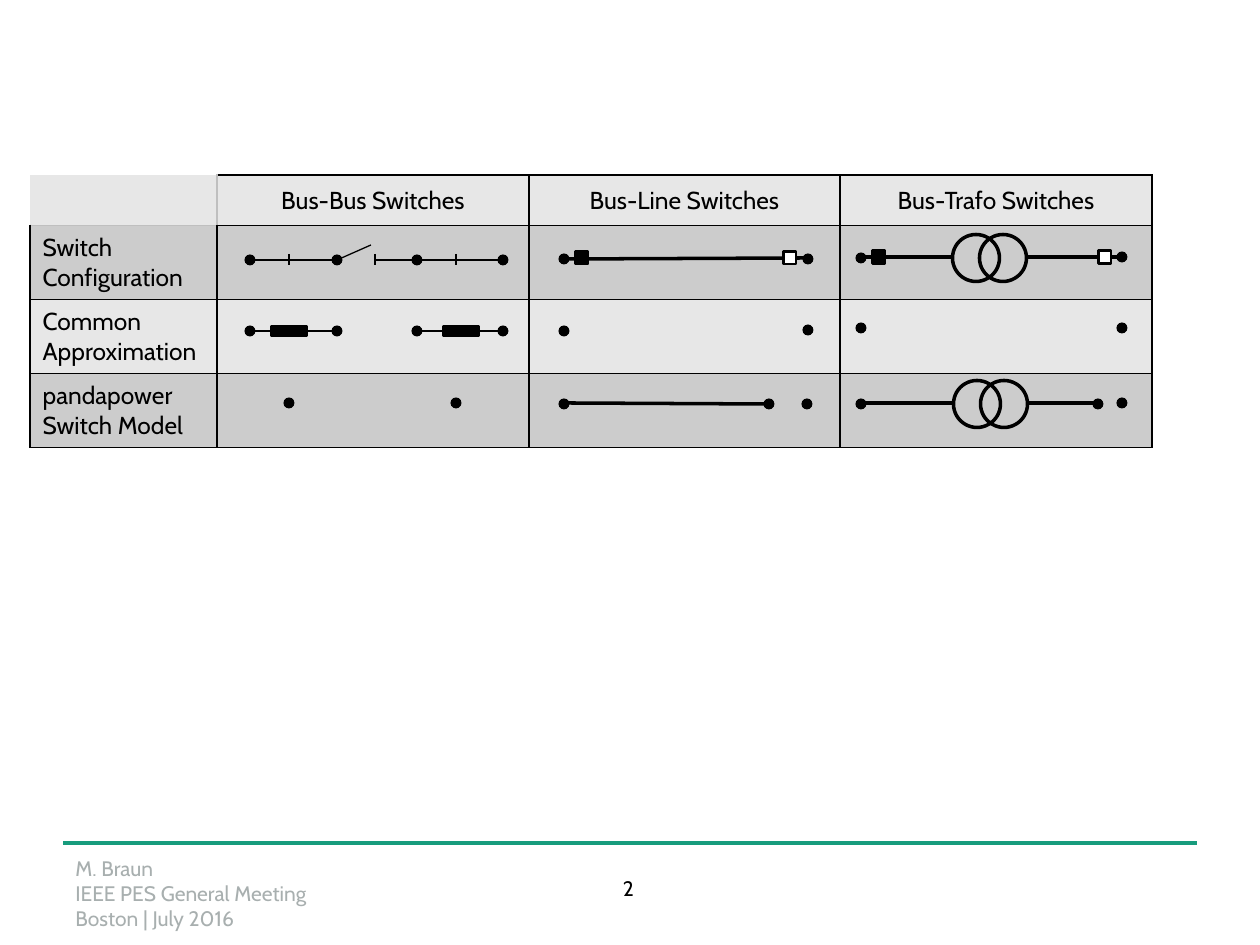
"""Build the slide comparing switch models for bus, line and trafo switches."""
from typing import NamedTuple, Optional

from lxml import etree
from pptx import Presentation
from pptx.dml.color import RGBColor
from pptx.enum.shapes import MSO_CONNECTOR, MSO_SHAPE
from pptx.enum.text import MSO_ANCHOR, MSO_AUTO_SIZE, PP_ALIGN
from pptx.oxml.ns import qn
from pptx.util import Emu, Pt

STRAIGHT = MSO_CONNECTOR.STRAIGHT
OVAL, RECTANGLE = MSO_SHAPE.OVAL, MSO_SHAPE.RECTANGLE
LEFT, CENTER = PP_ALIGN.LEFT, PP_ALIGN.CENTER
MIDDLE = MSO_ANCHOR.MIDDLE
FIT_SHAPE = MSO_AUTO_SIZE.SHAPE_TO_FIT_TEXT

BLACK = RGBColor(0x00, 0x00, 0x00)
WHITE = RGBColor(0xFF, 0xFF, 0xFF)
GREEN = RGBColor(0x17, 0x9C, 0x7D)
FOOTER_GRAY = RGBColor(0xA8, 0xAF, 0xAF)
BORDER_GRAY = RGBColor(0xBF, 0xBF, 0xBF)
LIGHT_BAND = RGBColor(0xE7, 0xE7, 0xE7)
DARK_BAND = RGBColor(0xCC, 0xCC, 0xCC)
FONT = "Cabin"
EMU_PER_PIXEL = 914400 / 126
THIN, THICK = 0.75, 2


class Wire(NamedTuple):
    x1: int
    y1: int
    x2: int
    y2: int
    weight: float = THICK
    color: RGBColor = BLACK


class SymbolStyle(NamedTuple):
    geometry: MSO_SHAPE
    width: int
    height: int
    fill: Optional[RGBColor]
    outline: float


class Symbol(NamedTuple):
    style: SymbolStyle
    x: int
    y: int


BUS = SymbolStyle(OVAL, 11, 11, BLACK, 0)
WINDING = SymbolStyle(OVAL, 47, 47, None, 2)
CLOSED = SymbolStyle(RECTANGLE, 13, 13, BLACK, 1.25)
OPEN = SymbolStyle(RECTANGLE, 13, 13, WHITE, 1.25)
IMPEDANCE = SymbolStyle(RECTANGLE, 34, 9, BLACK, 2)

TABLE_TEXT = [
    ["", "Bus-Bus Switches", "Bus-Line Switches", "Bus-Trafo Switches"],
    ["Switch Configuration", "", "", ""],
    ["Common Approximation", "", "", ""],
    ["pandapower Switch Model", "", "", ""],
]
COLUMN_WIDTHS = [187, 312, 311, 312]
ROW_HEIGHTS = [46, 74, 74, 74]

WIRES = [
    Wire(63, 843, 1197, 843, 2.5, GREEN),
    *(Wire(left, y, right, y, THIN)
      for y in (260, 331) for left, right in ((250, 337), (417, 503))),
    *(Wire(x, 254, x, 265, THIN) for x in (289, 375, 456)),
    Wire(375, 260, 417, 260, THIN),
    Wire(337, 260, 371, 245, THIN),
    Wire(564, 259, 808, 258),
    Wire(564, 403, 769, 404),
    Wire(861, 257, 954, 257),
    Wire(1027, 257, 1122, 257),
    Wire(861, 403, 954, 403),
    Wire(1027, 403, 1098, 403),
]
BUS_CENTERS = [
    *((x, y) for y in (260, 331) for x in (250, 337, 417, 503)),
    (289, 403), (456, 403),
    (564, 259), (808, 259), (564, 331), (808, 330),
    (564, 404), (769, 404), (807, 404),
    (861, 258), (1122, 257), (861, 328), (1122, 328),
    (861, 404), (1098, 404), (1122, 403),
]
SYMBOLS = [
    *(Symbol(BUS, x, y) for x, y in BUS_CENTERS),
    *(Symbol(WINDING, x, y) for x, y in ((976, 258), (1003, 258), (977, 404), (1004, 404))),
    Symbol(CLOSED, 582, 258), Symbol(OPEN, 790, 258),
    Symbol(CLOSED, 879, 257), Symbol(OPEN, 1105, 257),
    Symbol(IMPEDANCE, 289, 331), Symbol(IMPEDANCE, 461, 331),
]


def px(pixels: float) -> Emu:
    """Turn pixels into EMU."""
    return Emu(round(pixels * EMU_PER_PIXEL))


def add_text(paragraph, text: str, size: int, color: RGBColor, align) -> None:
    """Add one styled run to a paragraph."""
    paragraph.alignment = align
    run = paragraph.add_run()
    run.text = text
    run.font.name, run.font.size, run.font.bold = FONT, Pt(size), False
    run.font.color.rgb = color


def add_text_box(slide, box: tuple, lines: list, color: RGBColor, align):
    """Add a text box with one paragraph per line and return its frame."""
    frame = slide.shapes.add_textbox(*map(px, box)).text_frame
    for index, line in enumerate(lines):
        paragraph = frame.add_paragraph() if index else frame.paragraphs[0]
        add_text(paragraph, line, 12, color, align)
    return frame


def add_border(cell, side: str, color: Optional[RGBColor]) -> None:
    """Give one side of a cell a border, or none."""
    border = etree.SubElement(cell._tc.get_or_add_tcPr(), qn(f"a:ln{side}"), w=str(Pt(1)))
    if color is None:
        etree.SubElement(border, qn("a:noFill"))
    else:
        fill = etree.SubElement(border, qn("a:solidFill"))
        etree.SubElement(fill, qn("a:srgbClr"), val=str(color))


def border_color(row: int, column: int, side: str) -> Optional[RGBColor]:
    """Return the border colour, which fades around the empty corner cell."""
    if (row, column) == (0, 0):
        return BORDER_GRAY if side in "RB" else None
    if (row, column, side) in ((0, 1, "L"), (1, 0, "T")):
        return BORDER_GRAY
    return BLACK


def add_switch_table(slide) -> None:
    """Add the table of switch types and models."""
    table = slide.shapes.add_table(
        len(ROW_HEIGHTS), len(COLUMN_WIDTHS), px(30), px(175),
        px(sum(COLUMN_WIDTHS)), px(sum(ROW_HEIGHTS))).table
    table.first_row = table.horz_banding = False
    for column, width in zip(table.columns, COLUMN_WIDTHS):
        column.width = px(width)
    for row, height in zip(table.rows, ROW_HEIGHTS):
        row.height = px(height)
    for r, texts in enumerate(TABLE_TEXT):
        for c, text in enumerate(texts):
            cell = table.cell(r, c)
            for side in "LRTB":
                add_border(cell, side, border_color(r, c, side))
            cell.fill.solid()
            cell.fill.fore_color.rgb = DARK_BAND if r % 2 else LIGHT_BAND
            cell.vertical_anchor = MIDDLE
            if text:
                add_text(cell.text_frame.paragraphs[0], text, 14, BLACK, LEFT if r else CENTER)


def add_wire(slide, wire: Wire) -> None:
    """Add a straight line without shadow."""
    line = slide.shapes.add_connector(STRAIGHT, *map(px, wire[:4]))
    line.line.width = Pt(wire.weight)
    line.line.color.rgb = wire.color
    etree.SubElement(line._element.spPr, qn("a:effectLst"))


def add_symbol(slide, symbol: Symbol) -> None:
    """Add a circuit symbol around its centre."""
    style = symbol.style
    shape = slide.shapes.add_shape(
        style.geometry, px(symbol.x - style.width / 2), px(symbol.y - style.height / 2),
        px(style.width), px(style.height))
    shape.shadow.inherit = False
    if style.fill is None:
        shape.fill.background()
    else:
        shape.fill.solid()
        shape.fill.fore_color.rgb = style.fill
    if style.outline:
        shape.line.width = Pt(style.outline)
        shape.line.color.rgb = BLACK
    else:
        shape.line.fill.background()


def main() -> None:
    """Build and save the slide."""
    deck = Presentation()
    deck.slide_width, deck.slide_height = px(1260), px(945)
    slide = deck.slides.add_slide(deck.slide_layouts[6])
    footer = add_text_box(slide, (63, 849, 280, 89),
                          ["M. Braun", "IEEE PES General Meeting", "Boston | July 2016"],
                          FOOTER_GRAY, LEFT)
    footer.word_wrap = False
    footer.auto_size = FIT_SHAPE
    page = add_text_box(slide, (585, 876, 87, 21), ["2"], BLACK, CENTER)
    page.word_wrap = True
    page.margin_left = page.margin_right = page.margin_top = page.margin_bottom = 0
    add_switch_table(slide)
    for wire in WIRES:
        add_wire(slide, wire)
    for symbol in SYMBOLS:
        add_symbol(slide, symbol)
    deck.save("out.pptx")


main()
